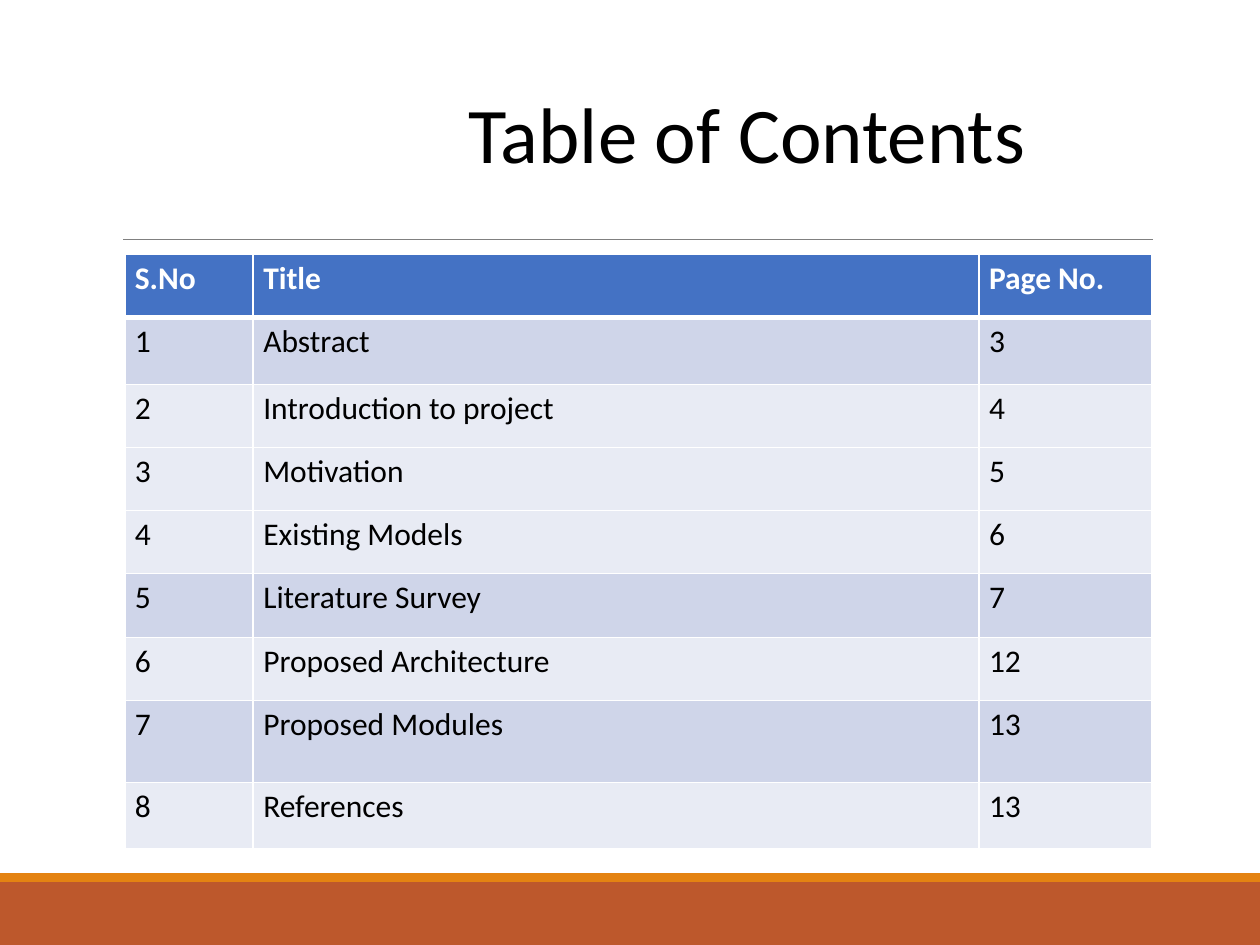
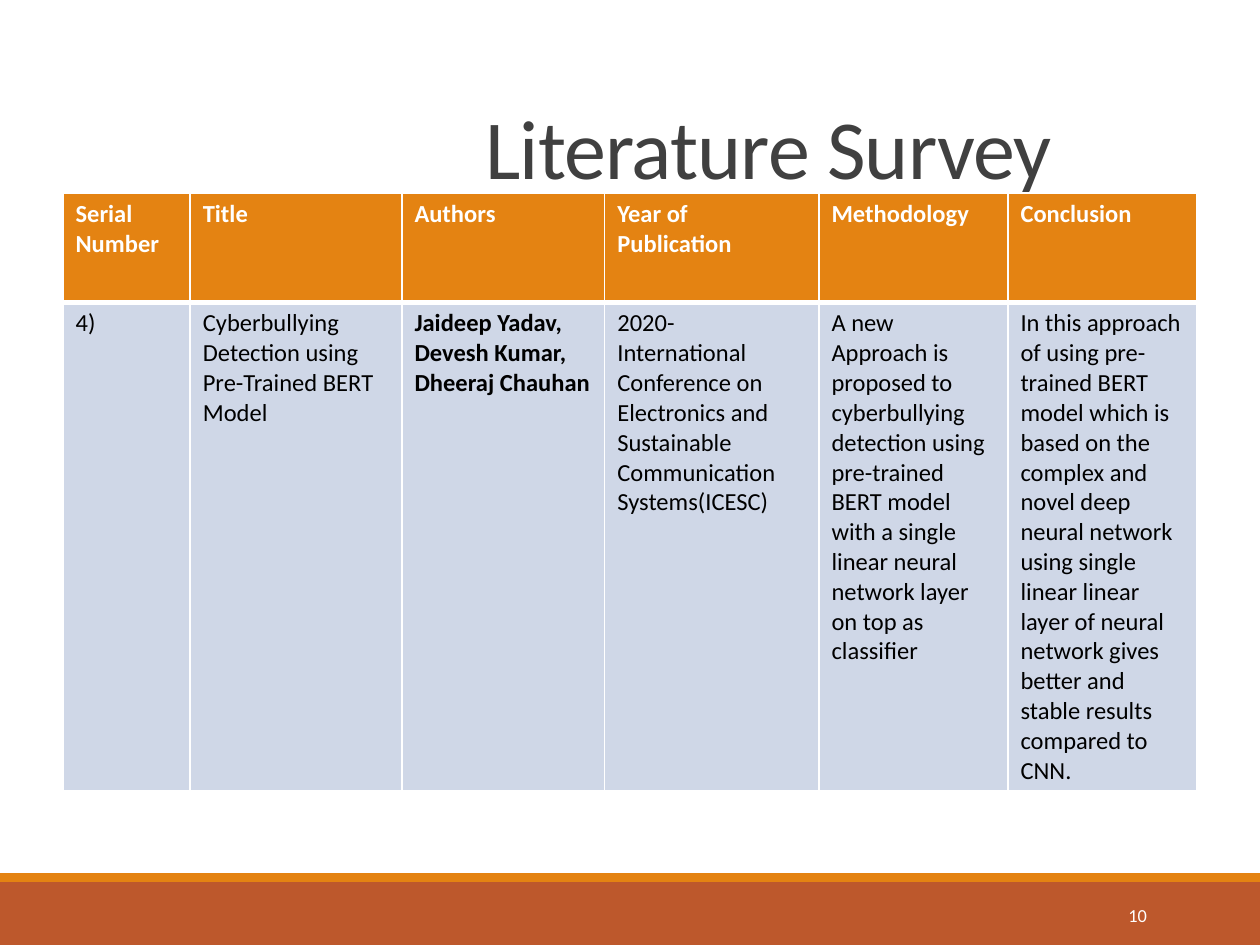
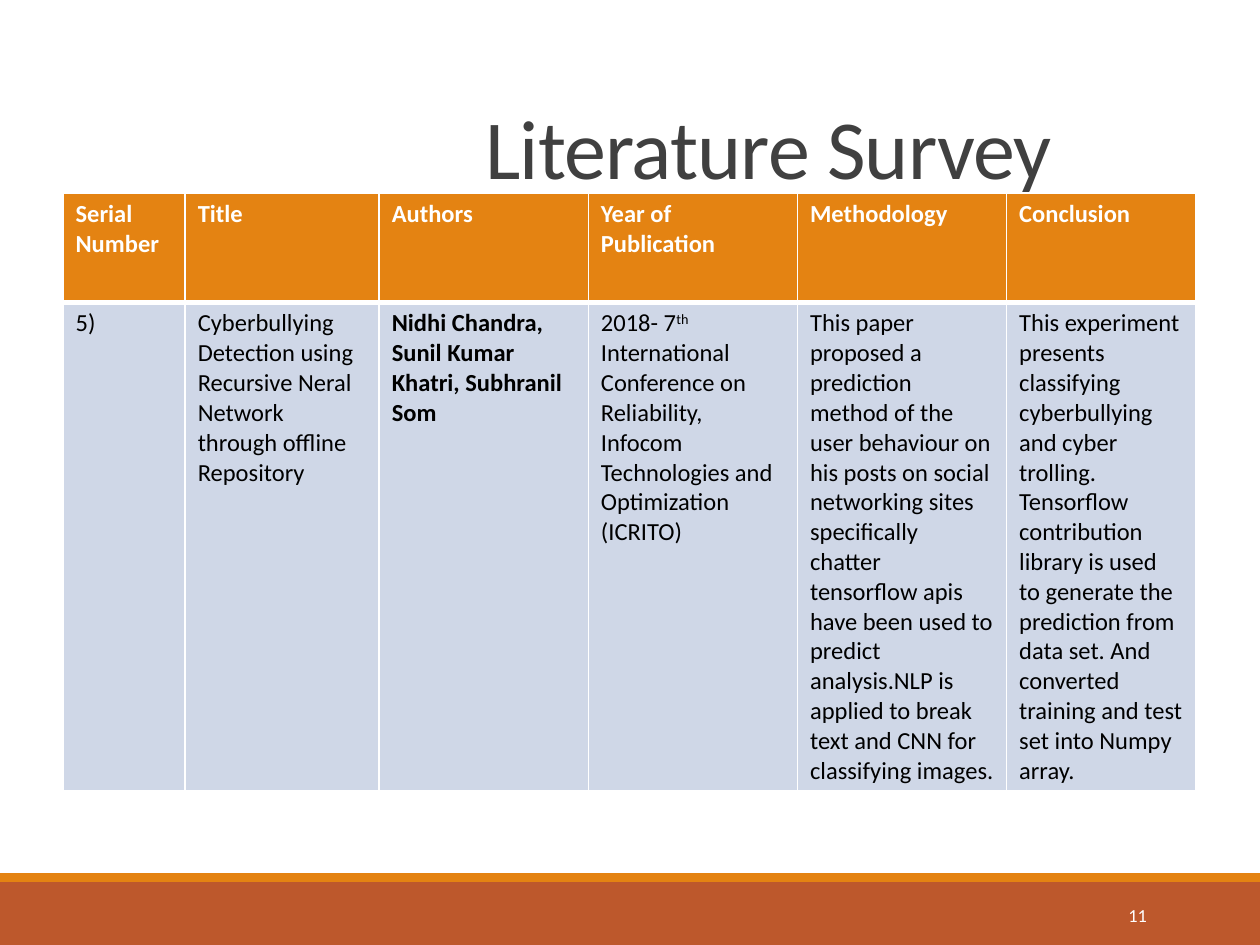
from pptx import Presentation
from pptx.dml.color import RGBColor
from pptx.enum.shapes import MSO_CONNECTOR, MSO_SHAPE
from pptx.enum.text import MSO_ANCHOR, PP_ALIGN
from pptx.oxml.ns import qn
from pptx.util import Inches, Pt
from lxml.etree import SubElement

# Shared look
FONT = "Calibri"
WHITE = RGBColor(0xFF, 0xFF, 0xFF)
BLACK = RGBColor(0, 0, 0)
CHARCOAL = RGBColor(0x40, 0x40, 0x40)
GRAY = RGBColor(0x80, 0x80, 0x80)
RUST = RGBColor(0xBD, 0x58, 0x2C)
ORANGE = RGBColor(0xE4, 0x83, 0x12)
BLUE = RGBColor(0x44, 0x72, 0xC4)
BLUE_TINT = RGBColor(0xCF, 0xD5, 0xE9)
PALE_TINT = RGBColor(0xE8, 0xEB, 0xF4)
SURVEY_TINT = RGBColor(0xCF, 0xD7, 0xE7)

PAGE_WIDTH, PAGE_HEIGHT = 10, 7.5
TITLE_BOX = (0.9, 0.31, 8.25, 1.59)
CONTENTS_TITLE_BOX = (3.65, 0.63, 4.74, 0.83)
NUMBER_BOX = (8.12, 7.06, 1.08, 0.4)
THIN, THICK = 1, 3

CONTENTS = [
    ("S.No", "Title", "Page No."),
    ("1", "Abstract", "3"),
    ("2", "Introduction to project", "4"),
    ("3", "Motivation", "5"),
    ("4", "Existing Models", "6"),
    ("5", "Literature Survey", "7"),
    ("6", "Proposed Architecture", "12"),
    ("7", "Proposed Modules", "13"),
    ("8", "References", "13"),
]
TINTED_ROWS = (1, 5, 7)

SURVEY_HEADINGS = ("Serial Number", "Title", "Authors",
                   "Year of Publication", "Methodology", "Conclusion")
AUTHORS_COLUMN = SURVEY_HEADINGS.index("Authors")
# Each survey: page number, column widths, cells.
# A list in a cell holds paragraphs, a tuple holds text around a superscript.
SURVEYS = [
    ("10", (1.01, 1.68, 1.61, 1.7, 1.5, 1.5), (
        "4)",
        "Cyberbullying Detection using Pre-Trained BERT Model",
        ["Jaideep Yadav,", "Devesh Kumar,", "Dheeraj Chauhan"],
        "2020- International Conference on Electronics and Sustainable "
        "Communication Systems(ICESC)",
        "A new Approach is proposed to cyberbullying detection using "
        "pre-trained BERT model with a single linear neural network layer "
        "on top as classifier",
        "In this approach of using pre-trained BERT model which is based on "
        "the complex and novel deep neural network using single linear "
        "linear layer of neural network gives better and stable results "
        "compared to CNN.")),
    ("11", (0.97, 1.54, 1.66, 1.66, 1.66, 1.5), (
        "5)",
        "Cyberbullying Detection using Recursive Neral Network through "
        "offline Repository",
        "Nidhi Chandra, Sunil Kumar Khatri, Subhranil Som",
        ("2018- 7", "th", " International Conference on Reliability, Infocom "
         "Technologies and Optimization (ICRITO)"),
        "This paper proposed a prediction method of the user behaviour on "
        "his posts on social networking sites specifically chatter "
        "tensorflow apis have been used to predict analysis.NLP is applied "
        "to break text and CNN for classifying images.",
        "This experiment presents classifying cyberbullying and cyber "
        "trolling. Tensorflow contribution library is used to generate the "
        "prediction from data set. And converted training and test set into "
        "Numpy array.")),
]


def inches(values):
    return [Inches(value) for value in values]


def set_margins(holder, left, top, right, bottom):
    holder.margin_left, holder.margin_top = Inches(left), Inches(top)
    holder.margin_right, holder.margin_bottom = Inches(right), Inches(bottom)


def style_font(font, size, color, bold=False):
    font.name, font.size, font.bold = FONT, Pt(size), bold
    font.color.rgb = color


def add_text(page, box, text, size, color, align=PP_ALIGN.LEFT,
             anchor=MSO_ANCHOR.TOP, margins=(0.1, 0.05, 0.1, 0.05)):
    frame = page.shapes.add_textbox(*inches(box)).text_frame
    frame.word_wrap = True
    frame.vertical_anchor = anchor
    set_margins(frame, *margins)
    para = frame.paragraphs[0]
    para.text, para.alignment = text, align
    style_font(para.font, size, color)
    return para


def add_band(page, box, color):
    band = page.shapes.add_shape(MSO_SHAPE.RECTANGLE, *inches(box))
    band.shadow.inherit = False
    band.fill.solid()
    band.fill.fore_color.rgb = color
    band.line.fill.background()


def add_page(deck):
    """Blank page with the footer bands and the rule under the title."""
    page = deck.slides.add_slide(deck.slide_layouts[6])
    add_band(page, (0, 7, PAGE_WIDTH, 0.5), RUST)
    add_band(page, (0, 6.93, PAGE_WIDTH, 0.07), ORANGE)
    rule = page.shapes.add_connector(
        MSO_CONNECTOR.STRAIGHT, *inches((0.98, 1.9, 9.15, 1.9)))
    rule.line.color.rgb, rule.line.width = GRAY, Pt(0.5)
    SubElement(rule._element.spPr, qn("a:effectLst"))
    return page


def set_borders(cell, top, bottom):
    properties = cell._tc.get_or_add_tcPr()
    widths = {"lnL": THIN, "lnR": THIN, "lnT": top, "lnB": bottom}
    for side, width in widths.items():
        line = SubElement(properties, qn("a:" + side), w=str(Pt(width)))
        fill = SubElement(line, qn("a:solidFill"))
        SubElement(fill, qn("a:srgbClr"), val=str(WHITE))


def fill_cell(cell, content, size, color, bold):
    paragraphs = content if isinstance(content, list) else [content]
    frame = cell.text_frame
    for index, text in enumerate(paragraphs):
        para = frame.add_paragraph() if index else frame.paragraphs[0]
        pieces = text if isinstance(text, tuple) else (text,)
        for position, piece in enumerate(pieces):
            span = para.add_run()
            span.text = piece
            style_font(span.font, size, color, bold)
            if position == 1:
                span._r.get_or_add_rPr().set("baseline", "30000")


def add_grid(page, left, top, widths, heights, rows, size, header_color,
             row_color, bold_columns=(), margins=(0.1, 0.05, 0.1, 0.05)):
    """Table with a header row; row_color gives the fill of a body row."""
    box = (left, top, sum(widths), sum(heights))
    table = page.shapes.add_table(len(rows), len(widths), *inches(box)).table
    table.horz_banding = False
    for column, width in zip(table.columns, widths):
        column.width = Inches(width)
    for index, (row, height) in enumerate(zip(table.rows, heights)):
        row.height = Inches(height)
        header = index == 0
        for column, cell in enumerate(row.cells):
            set_margins(cell, *margins)
            set_borders(cell, THICK if index == 1 else THIN,
                        THICK if header else THIN)
            cell.fill.solid()
            cell.fill.fore_color.rgb = (
                header_color if header else row_color(index))
            fill_cell(cell, rows[index][column], size,
                      WHITE if header else BLACK,
                      header or column in bold_columns)


def add_contents_page(deck):
    page = add_page(deck)
    add_text(page, CONTENTS_TITLE_BOX, "Table of Contents", 45, BLACK,
             margins=(0.07, 0.04, 0.07, 0.04))
    add_grid(page, 0.99, 2.02, (1.02, 5.76, 1.37),
             (0.5, 0.53, 0.5, 0.5, 0.5, 0.51, 0.5, 0.65, 0.53),
             CONTENTS, 18, BLUE,
             lambda row: BLUE_TINT if row in TINTED_ROWS else PALE_TINT,
             margins=(0.08, 0.04, 0.08, 0.04))


def add_survey_page(deck, number, widths, entry):
    page = add_page(deck)
    # The wide left margin moves the centred title to the right
    title = add_text(page, TITLE_BOX, "Literature Survey", 48, CHARCOAL,
                     PP_ALIGN.CENTER, MSO_ANCHOR.MIDDLE,
                     (2.25, 0.15, 0.1, 0.05))
    title.runs[0]._r.get_or_add_rPr().set("spc", "-50")
    add_text(page, NUMBER_BOX, number, 10.5, WHITE,
             PP_ALIGN.RIGHT, MSO_ANCHOR.MIDDLE)
    add_grid(page, 0.5, 1.53, widths, (0.87, 3.88),
             (SURVEY_HEADINGS, entry), 14, ORANGE,
             lambda row: SURVEY_TINT, bold_columns=(AUTHORS_COLUMN,))


deck = Presentation()
deck.slide_width, deck.slide_height = inches((PAGE_WIDTH, PAGE_HEIGHT))
add_contents_page(deck)
for survey in SURVEYS:
    add_survey_page(deck, *survey)
deck.save("out.pptx")
